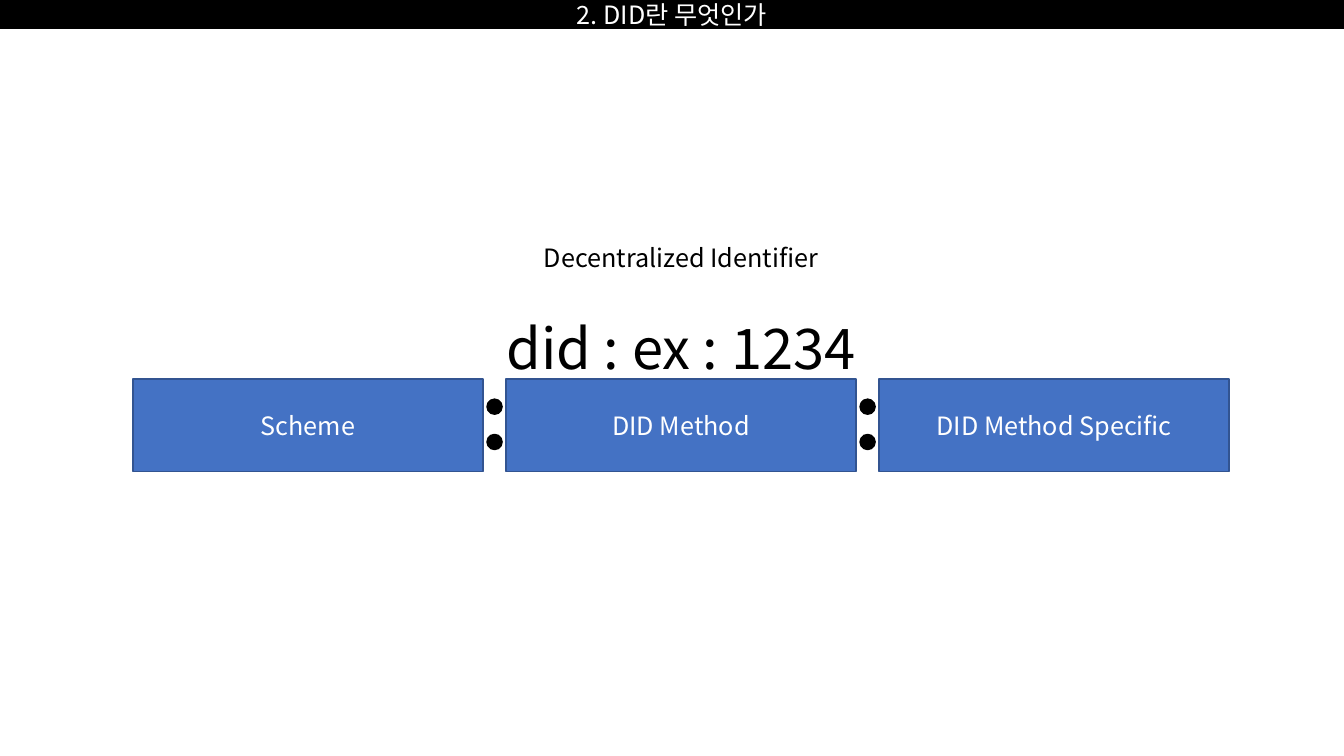
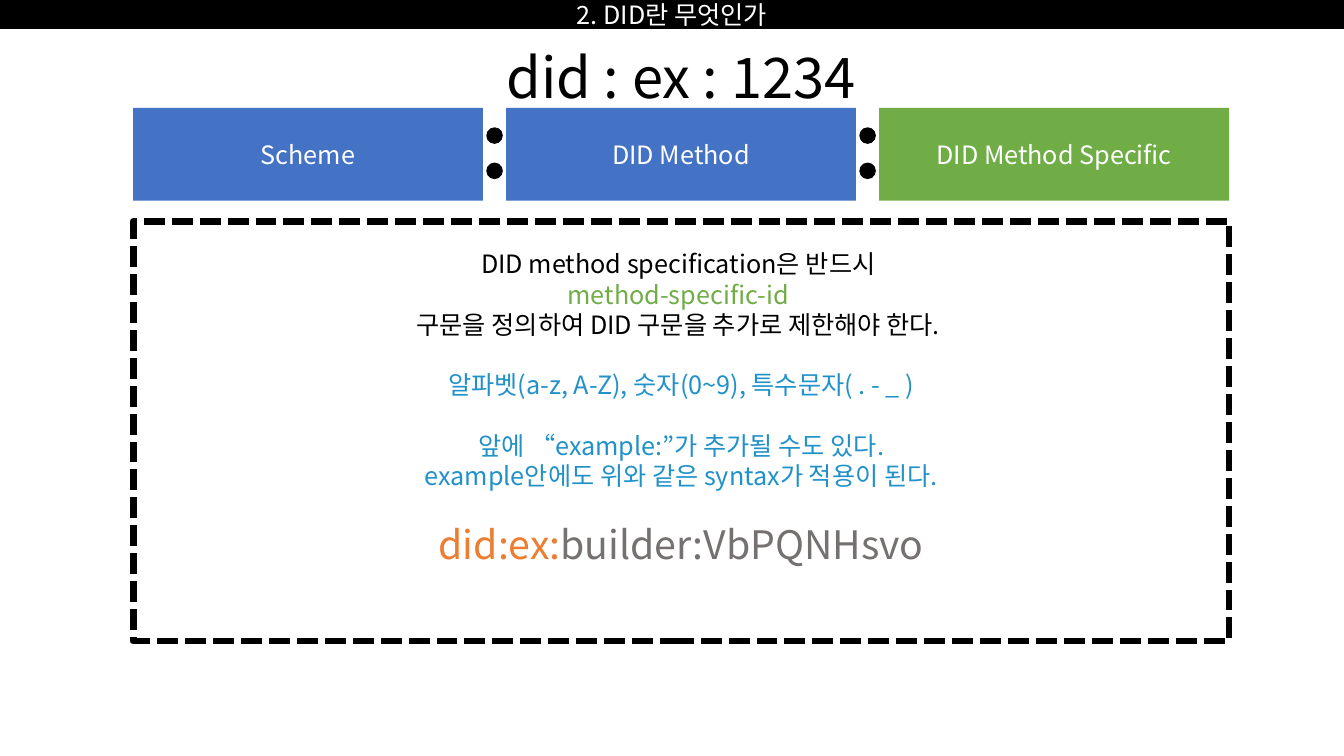
"""Build two slides that explain the parts of a decentralized identifier."""
from dataclasses import dataclass
from typing import Any

from lxml import etree
from pptx import Presentation
from pptx import util as u
from pptx.dml.color import RGBColor
from pptx.enum import dml, shapes, text
from pptx.oxml.ns import qn

FONT = "Noto Sans CJK KR"
BLACK, WHITE, BLUE, GREEN = "000000", "FFFFFF", "4472C4", "70AD47"
NAVY, SKY, ORANGE, GRAY = "325491", "2191C9", "ED7D31", "767171"
TITLE = "2. DID란 무엇인가"
SLIDE_WIDTH, SLIDE_HEIGHT = 13.33, 7.5
PART_NAMES = ("Scheme", "DID Method", "DID Method Specific")
PART_LEFT, PART_WIDTH, PART_HEIGHT, PART_STEP = 1.32, 3.47, 0.92, 3.7
ROW_WIDTH = PART_STEP * 2 + PART_WIDTH
DOT_SIZE, DOT_OFFSETS = 0.15, (0.2, 0.55)


@dataclass(frozen=True)
class Box:
    left: float
    top: float
    width: float
    height: float

    def lengths(self) -> list[int]:
        return [u.Inches(side) for side in (self.left, self.top, self.width, self.height)]


@dataclass(frozen=True)
class Run:
    words: str
    color: str = BLACK
    size: float = 18


@dataclass(frozen=True)
class Line:
    runs: tuple[Run, ...]
    before: float = 0


@dataclass(frozen=True)
class Outline:
    color: str
    width: float = 1
    dash: Any = None


RULES = (
    Line((Run("DID method specification은 반드시 "),)),
    Line((Run("method-specific-id ", GREEN),)),
    Line((Run("구문을 정의하여 DID 구문을 추가로 제한해야 한다. "),)),
    Line((Run("알파벳(a-z, A-Z), 숫자(0~9), 특수문자( . - _ )", SKY),), 21.5),
    Line((Run("앞에 “example:”가 추가될 수도 있다.", SKY),), 21.5),
    Line((Run("example안에도 위와 같은 syntax가 적용이 된다.", SKY),)),
    Line((Run("did:ex:", ORANGE, 28), Run("builder:VbPQNHsvo", GRAY, 28)), 21.5),
)


def rgb(color: str) -> RGBColor:
    return RGBColor.from_string(color)


def apply_format(target: Any, values: dict[str, Any]) -> None:
    for name, value in values.items():
        setattr(target, name, value)


def write_lines(shape: Any, lines: tuple[Line, ...], **frame_format: Any) -> None:
    frame = shape.text_frame
    apply_format(frame, {"word_wrap": True, **frame_format})
    for index, line in enumerate(lines):
        paragraph = frame.add_paragraph() if index else frame.paragraphs[0]
        apply_format(paragraph, {"alignment": text.PP_ALIGN.CENTER,
                                 "space_before": u.Pt(line.before)})
        for part in line.runs:
            run = paragraph.add_run()
            run.text = part.words
            apply_format(run.font, {"name": FONT, "size": u.Pt(part.size)})
            run.font.color.rgb = rgb(part.color)
            east_asian = etree.Element(qn("a:ea"), typeface=FONT)
            run.font._element.find(qn("a:latin")).addnext(east_asian)


def add_text(slide: Any, box: Box, run: Run) -> None:
    write_lines(slide.shapes.add_textbox(*box.lengths()), (Line((run,)),))


def add_figure(slide: Any, box: Box, fill: str, outline: Outline | None = None,
               lines: tuple[Line, ...] = (), kind: Any = shapes.MSO_SHAPE.RECTANGLE,
               **frame_format: Any) -> None:
    shape = slide.shapes.add_shape(kind, *box.lengths())
    shape.shadow.inherit = False
    shape.fill.solid()
    shape.fill.fore_color.rgb = rgb(fill)
    if outline:
        shape.line.color.rgb = rgb(outline.color)
        apply_format(shape.line, {"width": u.Pt(outline.width), "dash_style": outline.dash})
    else:
        shape.line.fill.background()
    if lines:
        write_lines(shape, lines, vertical_anchor=text.MSO_ANCHOR.MIDDLE, **frame_format)


def add_identifier(slide: Any, top: float, fills: tuple[str, ...],
                   outline: Outline | None = None) -> None:
    for index, (name, fill) in enumerate(zip(PART_NAMES, fills)):
        left = PART_LEFT + index * PART_STEP
        add_figure(slide, Box(left, top, PART_WIDTH, PART_HEIGHT), fill, outline,
                   (Line((Run(name, WHITE),)),))
        if index:
            gap = PART_STEP - PART_WIDTH
            dot_left = left - (gap + DOT_SIZE) / 2
            for offset in DOT_OFFSETS:
                add_figure(slide, Box(dot_left, top + offset, DOT_SIZE, DOT_SIZE), BLACK,
                           Outline(BLACK), kind=shapes.MSO_SHAPE.OVAL)
    add_text(slide, Box(PART_LEFT, top - 0.7, ROW_WIDTH, 0.77),
             Run("did : ex : 1234", size=40))


def add_titled_slide(presentation: Any) -> Any:
    slide = presentation.slides.add_slide(presentation.slide_layouts[6])
    add_figure(slide, Box(0, 0, SLIDE_WIDTH, 0.28), BLACK, Outline(BLACK),
               (Line((Run(TITLE, WHITE),)),))
    return slide


def build_overview(presentation: Any) -> None:
    slide = add_titled_slide(presentation)
    add_text(slide, Box(PART_LEFT + PART_STEP, 2.35, PART_WIDTH, 0.4),
             Run("Decentralized Identifier"))
    add_identifier(slide, 3.76, (BLUE, BLUE, BLUE), Outline(NAVY))


def build_method_specific(presentation: Any) -> None:
    slide = add_titled_slide(presentation)
    add_identifier(slide, 1.07, (BLUE, BLUE, GREEN))
    add_figure(slide, Box(PART_LEFT, 2.2, ROW_WIDTH, 4.16), WHITE,
               Outline(BLACK, 5, dml.MSO_LINE.SQUARE_DOT), RULES,
               margin_bottom=u.Inches(0.51))


def main() -> None:
    presentation = Presentation()
    apply_format(presentation, {"slide_width": u.Inches(SLIDE_WIDTH),
                                "slide_height": u.Inches(SLIDE_HEIGHT)})
    build_overview(presentation)
    build_method_specific(presentation)
    presentation.save("out.pptx")


if __name__ == "__main__":
    main()
